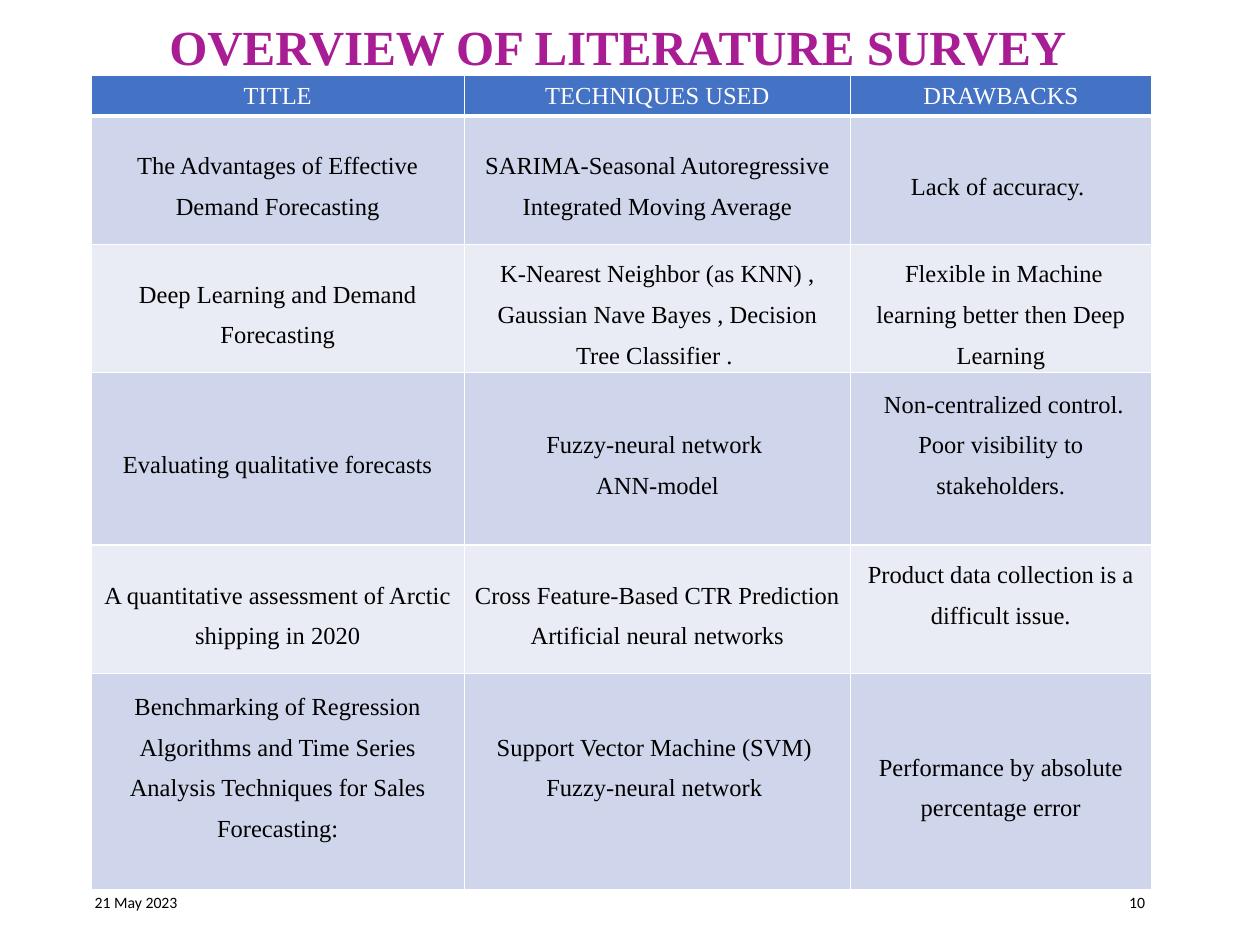
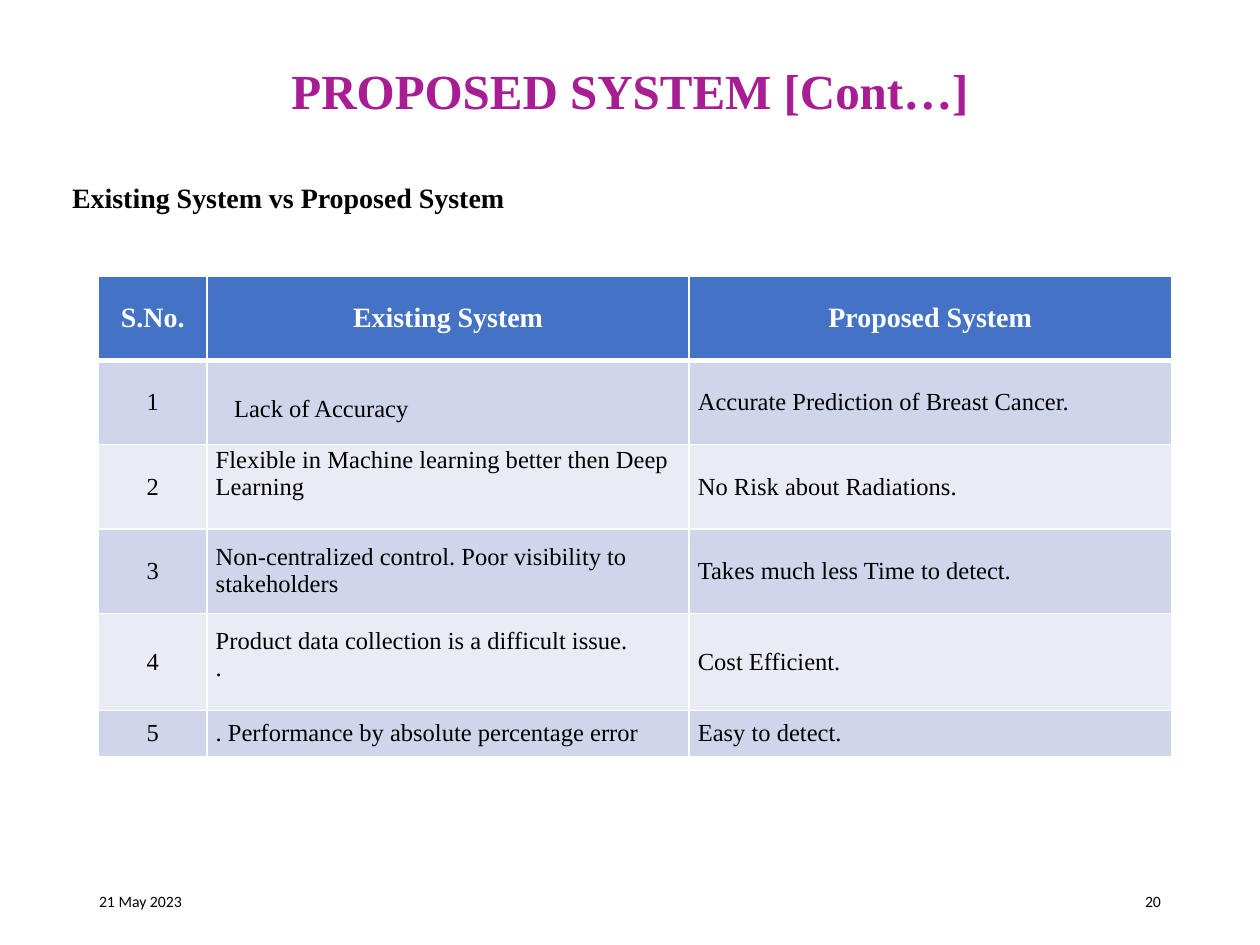
from lxml import etree
from pptx import Presentation
from pptx.dml.color import RGBColor
from pptx.enum import text as t
from pptx.oxml import ns
from pptx.util import Pt

COLORS = {"title": "A81C94", "text": "000000", "white": "FFFFFF",
          "header": "4472C4", "odd": "CFD5EA", "even": "E9EBF5"}
SERIF, SANS = "Times New Roman", "Calibri"
LEFT, CENTER, RIGHT = t.PP_ALIGN.LEFT, t.PP_ALIGN.CENTER, t.PP_ALIGN.RIGHT


class Deck:
    """Holds the shared style and the current slide."""

    def __init__(self):
        self.prs = Presentation()
        self.prs.slide_width, self.prs.slide_height = Pt(720), Pt(540)
        self.slide = None

    def new_slide(self, layout):
        self.slide = self.prs.slides.add_slide(self.prs.slide_layouts[layout])

    def style(self, paragraph, size, color="text", bold=False, font=SERIF,
              align=LEFT, spacing=1.0):
        paragraph.alignment = align
        paragraph.line_spacing = spacing
        paragraph.font.size = Pt(size)
        paragraph.font.name = font
        paragraph.font.bold = bold
        paragraph.font.color.rgb = RGBColor.from_string(COLORS[color])

    def place(self, shape, box):
        shape.left, shape.top, shape.width, shape.height = map(Pt, box)
        shape.text_frame.word_wrap = True
        shape.text_frame.auto_size = t.MSO_AUTO_SIZE.NONE

    def title(self, wording, box, right_inset=7.2):
        heading = self.slide.shapes.title
        self.place(heading, box)
        heading.text_frame.text = wording
        heading.text_frame.margin_right = Pt(right_inset)
        heading.text_frame.vertical_anchor = t.MSO_ANCHOR.MIDDLE
        self.style(heading.text_frame.paragraphs[0], 28, "title", True,
                   align=CENTER, spacing=0.9)

    def subtitle(self, wording, box):
        body = self.slide.placeholders[1]
        self.place(body, box)
        body.text_frame.text = wording
        line = body.text_frame.paragraphs[0]
        self.style(line, 16, bold=True, spacing=1.5)
        line.space_before = Pt(7.5)
        props = line._p.get_or_add_pPr()
        props.set("marL", "0")
        props.set("indent", "0")
        bullet = etree.Element(ns.qn("a:buNone"))
        props.insert(list(props).index(props.find(ns.qn("a:defRPr"))), bullet)

    def footer(self, number, left, right, top, width, height):
        for wording, x, align in (("21 May 2023", left, LEFT),
                                  (number, right, RIGHT)):
            note = self.slide.shapes.add_textbox(0, 0, 0, 0)
            self.place(note, (x, top, width, height))
            note.text_frame.text = wording
            note.text_frame.vertical_anchor = t.MSO_ANCHOR.MIDDLE
            self.style(note.text_frame.paragraphs[0], 9, font=SANS, align=align)

    def borders(self, cell, row):
        props = cell._tc.get_or_add_tcPr()
        widths = {"lnL": 1, "lnR": 1, "lnT": 3 if row == 1 else 1,
                  "lnB": 3 if row == 0 else 1}
        for side, width in widths.items():
            line = etree.SubElement(props, ns.qn(f"a:{side}"), w=str(Pt(width)))
            fill = etree.SubElement(line, ns.qn("a:solidFill"))
            etree.SubElement(fill, ns.qn("a:srgbClr"), val=COLORS["white"])

    def table(self, rows, left, top, widths, heights, header_size, header_bold,
              aligns, spacing=1.0, loose=(), bottoms=None, indents=None):
        grid = self.slide.shapes.add_table(
            len(rows), len(widths), Pt(left), Pt(top),
            Pt(sum(widths)), Pt(sum(heights))).table
        for column, width in zip(grid.columns, widths):
            column.width = Pt(width)
        for r, (wordings, height) in enumerate(zip(rows, heights)):
            grid.rows[r].height = Pt(height)
            band = "header" if r == 0 else "odd" if r % 2 else "even"
            for c, wording in enumerate(wordings):
                cell = grid.cell(r, c)
                cell.text_frame.text = wording
                cell.vertical_anchor = t.MSO_ANCHOR.MIDDLE
                self.borders(cell, r)
                cell.fill.solid()
                cell.fill.fore_color.rgb = RGBColor.from_string(COLORS[band])
                if r == 0:
                    self.style(cell.text_frame.paragraphs[0], header_size,
                               "white", header_bold, align=CENTER)
                    continue
                cell.margin_left = Pt(5 + (indents or {}).get((r, c), 0))
                cell.margin_right = Pt(5)
                cell.margin_top = 0
                cell.margin_bottom = Pt((bottoms or {}).get((r, c), 0))
                for i, paragraph in enumerate(cell.text_frame.paragraphs):
                    gap = 1.5 if (r, c) in loose and i == 0 else spacing
                    self.style(paragraph, 14, align=aligns[c], spacing=gap)


SURVEY = [
    ("TITLE", "TECHNIQUES USED", "DRAWBACKS"),
    ("The Advantages of Effective Demand Forecasting",
     "SARIMA-Seasonal Autoregressive Integrated Moving Average",
     "Lack of accuracy. "),
    ("Deep Learning and Demand Forecasting",
     "K-Nearest Neighbor (as KNN) , Gaussian Nave Bayes , "
     "Decision Tree Classifier . ",
     " Flexible in Machine learning better then Deep Learning"),
    ("Evaluating qualitative forecasts",
     "Fuzzy-neural network \nANN-model",
     " Non-centralized control. Poor visibility to stakeholders."),
    ("A quantitative assessment of Arctic shipping in 2020",
     "Cross Feature-Based CTR Prediction\nArtificial neural networks",
     "Product data collection is a difficult issue."),
    ("Benchmarking of Regression Algorithms and Time Series Analysis "
     "Techniques for Sales Forecasting:",
     "Support Vector Machine (SVM) \nFuzzy-neural network ",
     "Performance by absolute percentage error"),
]

COMPARISON = [
    ("S.No.", "Existing System", "Proposed System"),
    ("1", "Lack of Accuracy", "Accurate Prediction of Breast Cancer."),
    ("2", "Flexible in Machine learning better then Deep Learning",
     "No Risk about Radiations."),
    ("3", "Non-centralized control. Poor visibility to stakeholders",
     "Takes much less Time to detect."),
    ("4", "Product data collection is a difficult issue.\n.",
     "Cost Efficient."),
    ("5", ". Performance by absolute percentage error", "Easy to detect."),
]


def main():
    """Builds both slides and saves the deck."""
    deck = Deck()

    deck.new_slide(5)
    deck.title("OVERVIEW OF LITERATURE SURVEY", (62, 2, 596, 52.5), 21.2)
    deck.table(SURVEY, 52, 43.2, (213.5, 220.5, 172),
               (23, 73.4, 73.4, 98.5, 73.4, 123.6), 14, False,
               (CENTER,) * 3, spacing=1.5,
               bottoms=dict.fromkeys([(3, 2), (4, 2), (5, 0), (5, 1)], 23.2))
    deck.footer("10", 47, 506, 497, 155.5, 37.5)

    deck.new_slide(1)
    deck.title("PROPOSED SYSTEM [Cont…]", (49.7, 28.5, 620.6, 50))
    deck.subtitle("Existing System vs Proposed System", (34, 90, 670, 391))
    deck.footer("20", 49.5, 508.5, 500.5, 162, 29)
    deck.table(COMPARISON, 56.3, 157.7, (62, 275.5, 275.5),
               (48.2,) * 4 + (55.5, 26.6), 16, True, (CENTER, LEFT, LEFT),
               loose={(1, 1), (4, 1)},
               bottoms=dict.fromkeys([(2, 1), (4, 1)], 15.4),
               indents={(1, 1): 10.5})

    deck.prs.save("out.pptx")


if __name__ == "__main__":
    main()
